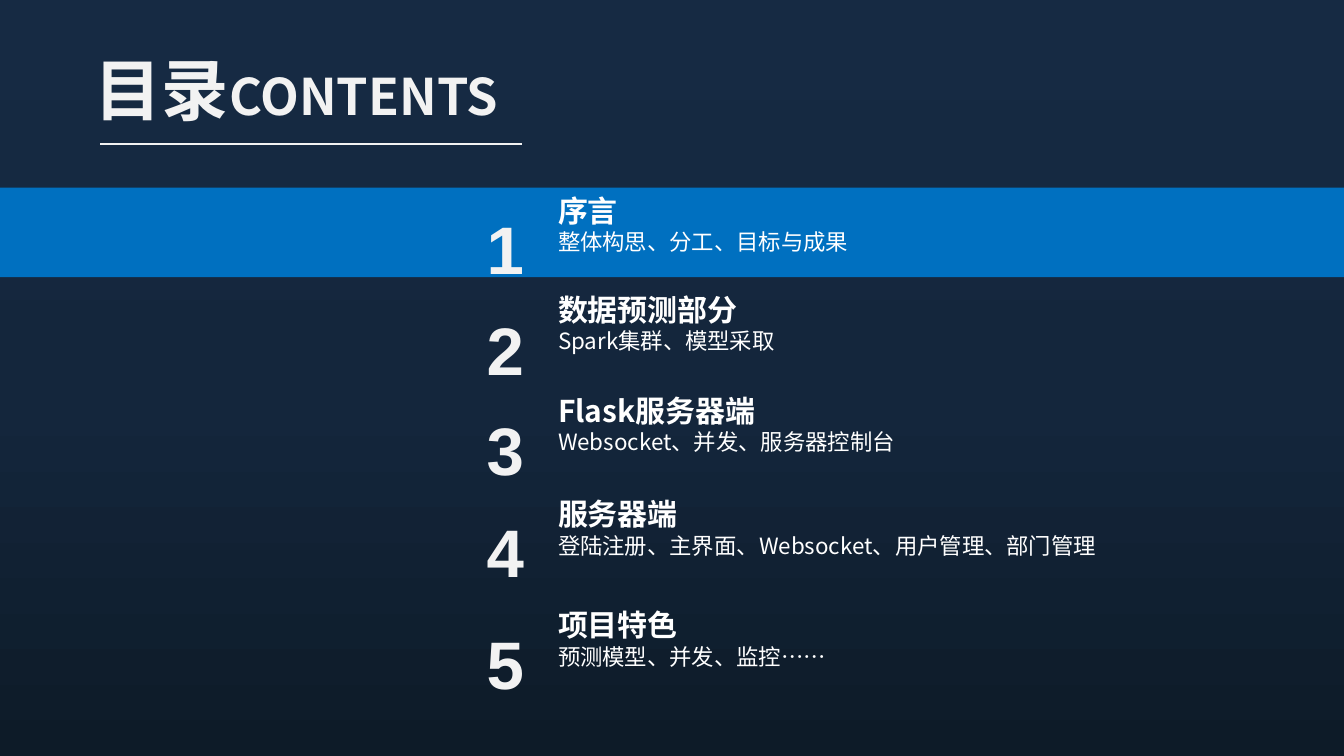
import copy
import dataclasses

import lxml.etree
import pptx
import pptx.dml.color
import pptx.enum.shapes
import pptx.enum.text
import pptx.oxml.ns
import pptx.util

Pt = pptx.util.Pt


@dataclasses.dataclass(frozen=True)
class Theme:
    gradient: tuple = ((0, "162A43"), (0.53, "14263C"), (1, "0D1B28"))
    band: str = "0070C0"
    light: str = "F2F2F2"
    white: str = "FFFFFF"
    text_font: str = "Noto Sans CJK SC"
    number_font: str = "Arial"
    large: float = 48
    subtitle: float = 36
    heading: float = 21.4
    detail: float = 16


def rgb(color):
    return pptx.dml.color.RGBColor.from_string(color)


class ContentsSlide:
    def __init__(self, presentation, theme):
        self.theme = theme
        self.slide = presentation.slides.add_slide(presentation.slide_layouts[5])

    def background(self):
        fill = self.slide.background.fill
        fill.gradient()
        fill.gradient_angle = 270
        stop_list = self.slide.element.find(".//" + pptx.oxml.ns.qn("a:gsLst"))
        stop_list.append(copy.deepcopy(stop_list[-1]))
        for stop, (position, color) in zip(fill.gradient_stops, self.theme.gradient):
            stop.position = position
            stop.color.rgb = rgb(color)

    def band(self, left, top, width, height):
        shape = self.slide.shapes.add_shape(
            pptx.enum.shapes.MSO_SHAPE.RECTANGLE, Pt(left), Pt(top), Pt(width), Pt(height)
        )
        shape.shadow.inherit = False
        shape.fill.solid()
        shape.fill.fore_color.rgb = rgb(self.theme.band)
        shape.line.fill.background()

    def rule(self, left, top, right):
        line = self.slide.shapes.add_connector(
            pptx.enum.shapes.MSO_CONNECTOR.STRAIGHT, Pt(left), Pt(top), Pt(right), Pt(top)
        )
        line.line.color.rgb = rgb(self.theme.light)
        line.line.width = Pt(1)
        properties = line.element.find(pptx.oxml.ns.qn("p:spPr"))
        lxml.etree.SubElement(properties, pptx.oxml.ns.qn("a:effectLst"))

    def run(self, paragraph, text, size, color, font, bold=True):
        run = paragraph.add_run()
        run.text = text
        run.font.size = Pt(size)
        run.font.bold = bold
        run.font.color.rgb = rgb(color)
        run.font.name = font
        properties = run.font.fill._xPr
        east_asian = lxml.etree.SubElement(properties, pptx.oxml.ns.qn("a:ea"))
        east_asian.set("typeface", font)

    def frame(self, shape, wrap):
        frame = shape.text_frame
        frame.word_wrap = wrap
        frame.auto_size = pptx.enum.text.MSO_AUTO_SIZE.NONE
        frame.vertical_anchor = pptx.enum.text.MSO_ANCHOR.TOP
        frame.paragraphs[0].alignment = pptx.enum.text.PP_ALIGN.LEFT
        return frame

    def text_box(self, left, top, width, height, wrap):
        shape = self.slide.shapes.add_textbox(Pt(left), Pt(top), Pt(width), Pt(height))
        return self.frame(shape, wrap)

    def title(self, left, top, width, height, chinese, english):
        shape = self.slide.shapes.title
        shape.left, shape.top = Pt(left), Pt(top)
        shape.width, shape.height = Pt(width), Pt(height)
        paragraph = self.frame(shape, False).paragraphs[0]
        paragraph.line_spacing = 0.9
        theme = self.theme
        for text, size in ((chinese, theme.large), (english, theme.subtitle)):
            self.run(paragraph, text, size, theme.light, theme.text_font)

    def number(self, left, top, text):
        frame = self.text_box(left, top, 35, 48, False)
        frame.margin_top = Pt(8)
        frame.margin_right = 0
        theme = self.theme
        self.run(frame.paragraphs[0], text, theme.large, theme.light, theme.number_font)

    def entry(self, left, top, width, heading, detail):
        frame = self.text_box(left, top, width, 60, True)
        theme = self.theme
        first, second = frame.paragraphs[0], frame.add_paragraph()
        for paragraph in (first, second):
            paragraph.line_spacing = 1.0
        self.run(first, heading, theme.heading, theme.white, theme.text_font)
        self.run(second, detail, theme.detail, theme.white, theme.text_font, False)


ENTRIES = (
    (140.4, 134, 312, "序言", "整体构思、分工、目标与成果"),
    (212.4, 204.5, 312, "数据预测部分", "Spark集群、模型采取"),
    (283.7, 276.5, 312, "Flask服务器端", "Websocket、并发、服务器控制台"),
    (356.4, 350.6, 456, "服务器端", "登陆注册、主界面、Websocket、用户管理、部门管理"),
    (436.3, 430, 456, "项目特色", "预测模型、并发、监控……"),
)


def main():
    presentation = pptx.Presentation()
    presentation.slide_width = Pt(960)
    presentation.slide_height = Pt(540)
    contents = ContentsSlide(presentation, Theme())
    contents.background()
    contents.band(0, 134, 960, 64)
    contents.title(60.5, 37.5, 314.5, 65.5, "目录", "CONTENTS")
    contents.rule(71.5, 103, 373)
    for index, (number_top, top, width, heading, detail) in enumerate(ENTRIES, 1):
        contents.number(340.5, number_top, str(index))
        contents.entry(391.5, top, width, heading, detail)
    presentation.save("out.pptx")


if __name__ == "__main__":
    main()
